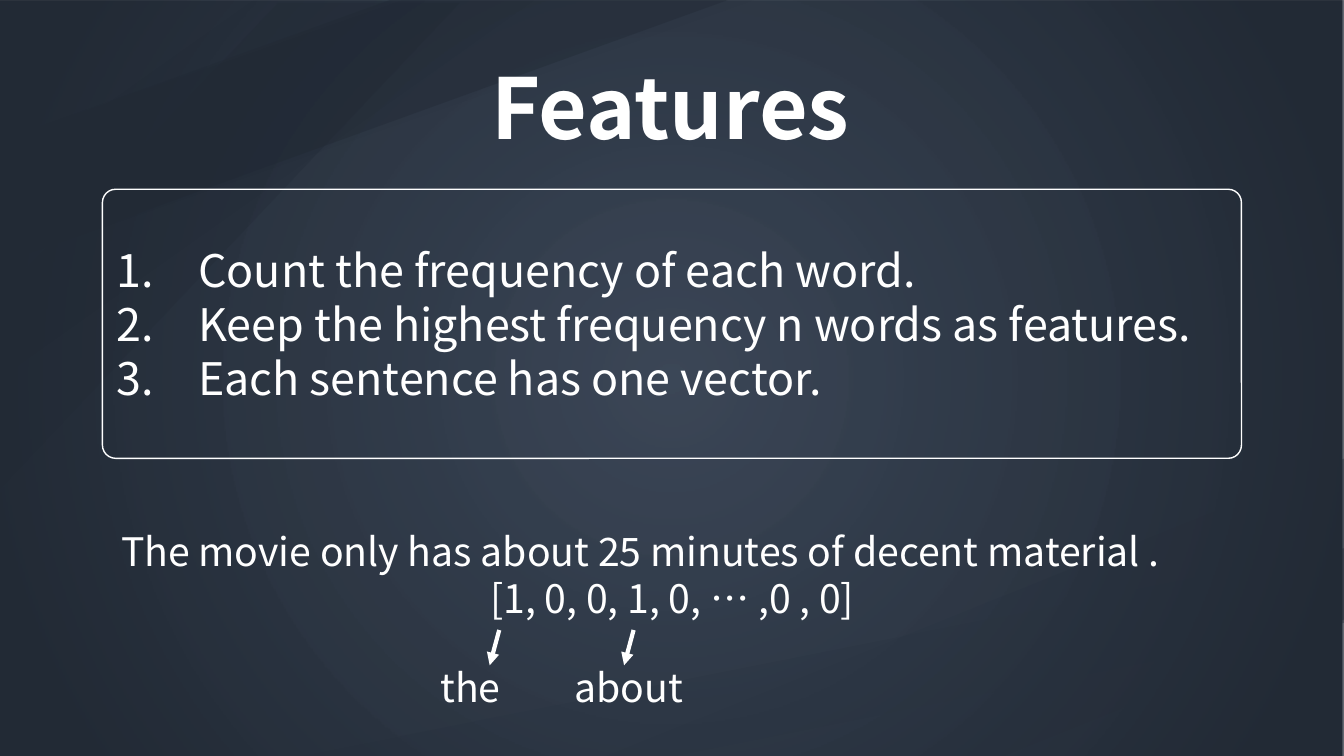
"""Build the Features slide on word frequency vectors."""
import pptx
import pptx.util
import pptx.dml.color
import pptx.enum.shapes
import pptx.enum.text
import pptx.oxml.ns
from lxml import etree

Pt = pptx.util.Pt
KIND = pptx.enum.shapes.MSO_SHAPE
ALIGN = pptx.enum.text.PP_ALIGN
qn = pptx.oxml.ns.qn
FONT = "Noto Sans CJK SC"
COLORS = {"text": "FFFFFF", "navy": "222A35", "slate": "333F50"}


def rgb(name):
    """Return a named colour."""
    return pptx.dml.color.RGBColor.from_string(COLORS[name])


def fade(node, alpha):
    """Set the opacity percent of the first colour under a node."""
    tone = next(node.iter(qn("a:srgbClr")))
    etree.SubElement(tone, qn("a:alpha"), val=str(alpha * 1000))


def add_form(slide, kind, box):
    """Add a preset shape without shadow or line."""
    form = slide.shapes.add_shape(kind, *map(Pt, box))
    form.shadow.inherit = False
    form.line.fill.background()
    return form


def add_stripe(slide, box, cut, alpha, turn=0):
    """Add a faint diagonal stripe."""
    form = add_form(slide, KIND.DIAGONAL_STRIPE, box)
    form.adjustments[0] = cut
    form.rotation = turn
    form.fill.solid()
    form.fill.fore_color.rgb = rgb("navy")
    fade(form._element.spPr, alpha)


def add_glow(slide):
    """Cover the slide with a radial gradient."""
    form = add_form(slide, KIND.RECTANGLE, (0, 0, 960, 540))
    form.fill.gradient()
    for stop, name, place in zip(form.fill.gradient_stops,
                                 ("slate", "navy"), (0, 0.9)):
        stop.color.rgb = rgb(name)
        stop.position = place
    grad = form._element.spPr.find(qn("a:gradFill"))
    fade(grad, 95)
    grad.remove(grad.find(qn("a:lin")))
    ring = etree.SubElement(grad, qn("a:path"), path="circle")
    etree.SubElement(ring, qn("a:fillToRect"),
                     dict.fromkeys("ltrb", "50000"))


def write(frame, lines, size, bold=False):
    """Fill a frame with styled lines of text."""
    frame.word_wrap = True
    frame.text = "\n".join(lines)
    for para in frame.paragraphs:
        para.alignment = ALIGN.LEFT
        for run in para.runs:
            run.font.size = Pt(size)
            run.font.bold = bold
            run.font.name = FONT
            run.font.color.rgb = rgb("text")
            etree.SubElement(run.font._element, qn("a:ea"), typeface=FONT)


def add_text(slide, box, lines, size, bold=False):
    """Add a text box and return its paragraphs."""
    frame = slide.shapes.add_textbox(*map(Pt, box)).text_frame
    write(frame, lines, size, bold)
    return frame.paragraphs


def add_steps(slide, box, lines):
    """Add a rounded frame with a numbered list."""
    form = add_form(slide, KIND.ROUNDED_RECTANGLE, box)
    form.adjustments[0] = 0.049
    form.fill.background()
    form.line.color.rgb = rgb("text")
    form.line.width = Pt(1)
    frame = form.text_frame
    frame.vertical_anchor = pptx.enum.text.MSO_ANCHOR.MIDDLE
    write(frame, lines, 32)
    for para in frame.paragraphs:
        props = para._p.get_or_add_pPr()
        props.set("marL", str(Pt(58.5)))
        props.set("indent", str(-Pt(58.5)))
        etree.SubElement(props, qn("a:buFont"), typeface="+mj-lt")
        etree.SubElement(props, qn("a:buAutoNum"), type="arabicPeriod")


def add_arrow(slide, left, top, right, foot):
    """Add a thick arrow between two points."""
    link = slide.shapes.add_connector(
        pptx.enum.shapes.MSO_CONNECTOR.STRAIGHT,
        Pt(left), Pt(top), Pt(right), Pt(foot))
    link.line.color.rgb = rgb("text")
    link.line.width = Pt(3)
    etree.SubElement(link.line._get_or_add_ln(), qn("a:tailEnd"),
                     type="triangle")
    etree.SubElement(link._element.spPr, qn("a:effectLst"))


def main():
    """Draw the slide and save it."""
    deck = pptx.Presentation()
    deck.slide_width, deck.slide_height = Pt(960), Pt(540)
    slide = deck.slides.add_slide(deck.slide_layouts[6])

    add_stripe(slide, (432.8, 327.6, 527.2, 212.4), 0.459, 40, 180)
    add_stripe(slide, (214.4, 391.6, 745.6, 148.4), 0.641, 40, 180)
    add_glow(slide)
    for box, cut, alpha in (
            ((0, 0, 520, 188), 0.536, 40),
            ((0, 2, 328.4, 347), 0.605, 30),
            ((0, 0, 538.6, 188), 0.536, 5),
            ((0, 0, 381.6, 270), 0.476, 5)):
        add_stripe(slide, box, cut, alpha)

    title = add_text(slide, (243.4, 36, 470.9, 80), ["Features"], 60, True)
    title[0].alignment = ALIGN.CENTER
    add_steps(slide, (73.2, 135.2, 813.6, 192.2), [
        "Count the frequency of each word.",
        "Keep the highest frequency n words as features.",
        "Each sentence has one vector."])
    sample = add_text(slide, (79.4, 373, 801.4, 75), [
        "The movie only has about 25 minutes of decent material .",
        "[1, 0, 0, 1, 0, … ,0 , 0]"], 28)
    sample[1].alignment = ALIGN.CENTER
    for word, left, width, tip in (("the", 307.4, 66.2, 349.8),
                                   ("about", 403.2, 116, 445.8)):
        add_arrow(slide, tip + 6.8, 450, tip, 475.2)
        add_text(slide, (left, 470.2, width, 41), [word], 28)
    deck.save("out.pptx")


if __name__ == "__main__":
    main()
